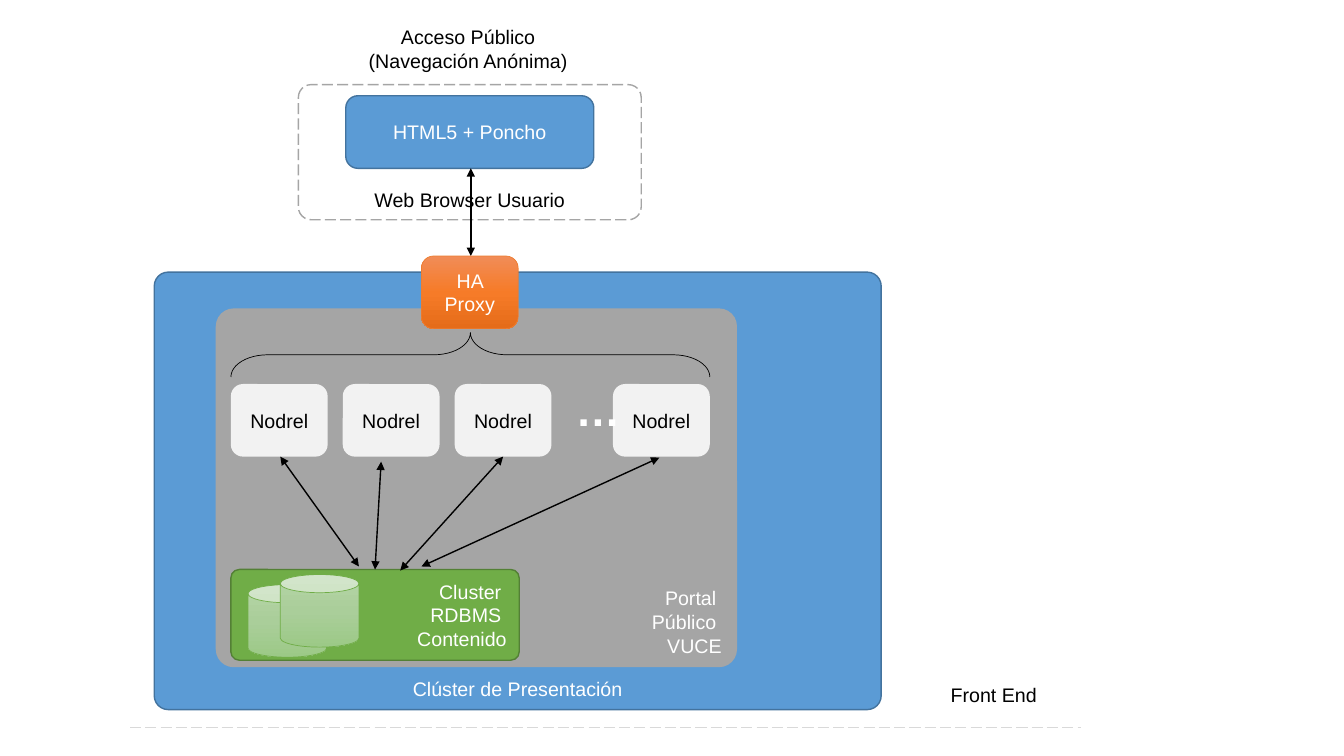
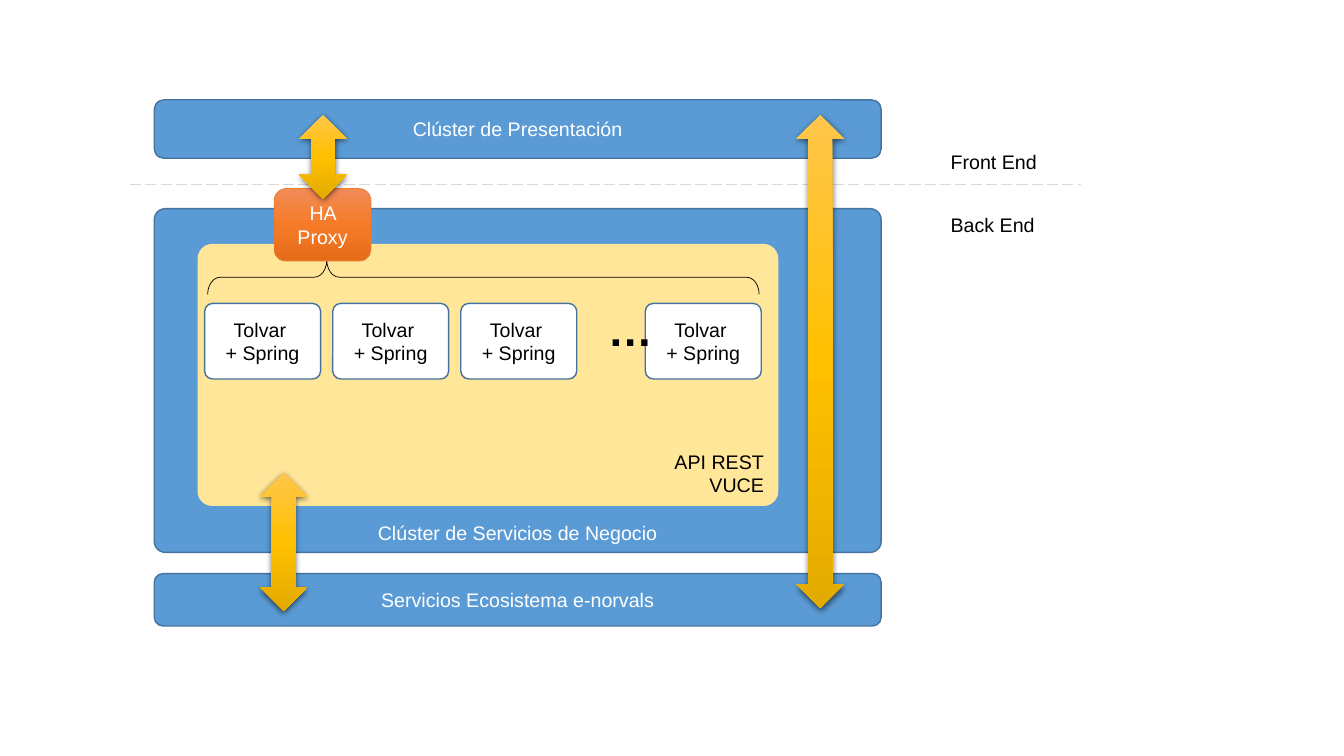
import copy
import pptx
import pptx.util
import pptx.dml.color
import pptx.enum.dml
import pptx.enum.shapes
import pptx.enum.text
import pptx.oxml
import pptx.oxml.ns

Inches = pptx.util.Inches
RGB = pptx.dml.color.RGBColor
SHAPE = pptx.enum.shapes.MSO_SHAPE
ALIGN = pptx.enum.text.PP_ALIGN
ANCHOR = pptx.enum.text.MSO_ANCHOR
qn = pptx.oxml.ns.qn

WHITE = RGB(0xFF, 0xFF, 0xFF)
BLACK = RGB(0, 0, 0)
BLUE = RGB(0x5B, 0x9B, 0xD5)
NAVY = RGB(0x43, 0x73, 0x9E)
GRAY = RGB(0xA5, 0xA5, 0xA5)
SILVER = RGB(0xD9, 0xD9, 0xD9)
PALE = RGB(0xF2, 0xF2, 0xF2)
GREEN = RGB(0x70, 0xAD, 0x47)
FOREST = RGB(0x53, 0x80, 0x35)
CREAM = RGB(0xFF, 0xE6, 0x99)
ORANGE = RGB(0xED, 0x7D, 0x31)
PROXY_FILL = [RGB(0xF1, 0x8C, 0x57), RGB(0xF6, 0x7B, 0x28), RGB(0xE5, 0x6C, 0x19)]
DISK_FILL = [RGB(0xB5, 0xD5, 0xA7), RGB(0xAA, 0xCE, 0x9A), RGB(0x9C, 0xC9, 0x87)]
ARROW_FILL = [RGB(0xFF, 0xC6, 0x4B), RGB(0xFF, 0xC0, 0x00), RGB(0xE3, 0xAB, 0x00)]

FONT = {"name": "Arial", "size": pptx.util.Pt(14), "bold": False}
ELLIPSIS = {"size": pptx.util.Pt(32), "bold": True}
SHADOW = (
    '<a:outerShdw xmlns:a="http://schemas.openxmlformats.org/drawingml/2006/main" '
    'blurRad="57150" dist="19050" dir="5400000" algn="ctr" rotWithShape="0">'
    '<a:srgbClr val="000000"><a:alpha val="63000"/></a:srgbClr></a:outerShdw>'
)


def write(sp, lines, color=WHITE, align=ALIGN.CENTER, anchor=ANCHOR.MIDDLE, font=None):
    tf = sp.text_frame
    for name, value in {"word_wrap": True, "vertical_anchor": anchor}.items():
        setattr(tf, name, value)
    for i, line in enumerate(lines):
        p = tf.add_paragraph() if i else tf.paragraphs[0]
        p.alignment = align
        r = p.add_run()
        r.text = line
        for name, value in {**FONT, **(font or {})}.items():
            setattr(r.font, name, value)
        r.font.color.rgb = color


def paint(sp, fill):
    if fill is None:
        sp.fill.background()
    elif isinstance(fill, list):
        sp.fill.gradient()
        sp.fill.gradient_angle = 270
        stops = sp._element.spPr.find(".//" + qn("a:gsLst"))
        stops.insert(1, copy.deepcopy(stops[0]))
        for stop, color, position in zip(sp.fill.gradient_stops, fill, (0, 0.5, 1)):
            stop.color.rgb = color
            stop.position = position
    else:
        sp.fill.solid()
        sp.fill.fore_color.rgb = fill


def stroke(sp, color, width=1, dashed=False):
    if color is None:
        sp.line.fill.background()
        return
    sp.line.color.rgb = color
    sp.line.width = pptx.util.Pt(width)
    if dashed:
        sp.line.dash_style = pptx.enum.dml.MSO_LINE.LONG_DASH


def shape(s, kind, box, fill=None, line=None, width=1, dashed=False, adj=()):
    sp = s.shapes.add_shape(kind, *map(Inches, box))
    sp.shadow.inherit = False
    paint(sp, fill)
    stroke(sp, line, width, dashed)
    for i, value in enumerate(adj):
        sp.adjustments[i] = value
    return sp


def panel(s, box, lines, fill=BLUE, line=NAVY, adj=(), dashed=False, **text):
    sp = shape(s, SHAPE.ROUNDED_RECTANGLE, box, fill, line, dashed=dashed, adj=adj)
    write(sp, lines, **text)


def label(s, box, lines, color=BLACK, align=ALIGN.LEFT, font=None):
    sp = s.shapes.add_textbox(*map(Inches, box))
    write(sp, lines, color, align, ANCHOR.TOP, font)


def connect(s, start, end, color=BLACK, arrows=True, dashed=False):
    sp = s.shapes.add_connector(
        pptx.enum.shapes.MSO_CONNECTOR.STRAIGHT, *map(Inches, start + end))
    stroke(sp, color, 1, dashed)
    spPr = sp._element.spPr
    ln = spPr.find(qn("a:ln"))
    if arrows:
        for tag in ("a:headEnd", "a:tailEnd"):
            ln.append(ln.makeelement(qn(tag), {"type": "triangle"}))
    spPr.append(spPr.makeelement(qn("a:effectLst")))


def brace(s, box, kind, rotation, adj):
    x, y, w, h = box
    upright = (x + (w - h) / 2, y + (h - w) / 2, h, w)
    sp = shape(s, kind, upright, line=BLACK, width=0.5, adj=adj)
    sp.rotation = rotation


def proxy(s, x, y):
    sp = shape(s, SHAPE.ROUNDED_RECTANGLE, (x, y, 0.96, 0.72), PROXY_FILL, ORANGE, 0.5)
    write(sp, ["HA Proxy"])


def flow_arrow(s, x, y, h):
    sp = shape(s, SHAPE.UP_DOWN_ARROW, (x, y, 0.47, h), ARROW_FILL)
    effects = sp._element.spPr.find(qn("a:effectLst"))
    effects.append(pptx.oxml.parse_xml(SHADOW))


def node_row(s, box, node_w, gap, lines, dots_color, **style):
    x, y, w, h = box
    last = x + w - node_w
    for left in [x + i * (node_w + gap) for i in range(3)] + [last]:
        panel(s, (left, y, node_w, h), lines, color=BLACK, **style)
    label(s, (last - 0.47, y - 0.07, 0.32, 0.64), ["…"], dots_color, ALIGN.CENTER, ELLIPSIS)


def divider(s, y, labels):
    connect(s, (1.29, y), (10.72, y), SILVER, arrows=False, dashed=True)
    for text, offset in labels.items():
        label(s, (9.33, y + offset, 1.39, 0.34), [text])


def database(s, box):
    x, y, w, h = box
    panel(s, box, ["Cluster ", "RDBMS ", "Contenido"], GREEN, FOREST, (0.093,),
          align=ALIGN.RIGHT)
    for dx, dy in ((0.17, 0.15), (0.49, 0.05)):
        shape(s, SHAPE.CAN, (x + dx, y + dy, 0.78, 0.72), DISK_FILL, GREEN, 0.5)


def browser(s, box):
    x, y, w, h = box
    label(s, (x - 0.28, y - 0.64, 3.98, 0.57),
          ["Acceso Público ", "(Navegación Anónima) "], align=ALIGN.CENTER)
    panel(s, box, ["Web Browser Usuario"], WHITE, GRAY, (0.094,), True,
          color=BLACK, anchor=ANCHOR.BOTTOM)
    panel(s, (x + 0.47, y + 0.11, 2.46, 0.72), ["HTML5 + Poncho"])
    connect(s, (x + 1.71, y + 0.83), (x + 1.71, y + 1.7))


def portal(s, box):
    x, y, w, h = box
    panel(s, box, ["Portal ", "Público ", "VUCE"], GRAY, None, (0.05,),
          align=ALIGN.RIGHT, anchor=ANCHOR.BOTTOM)
    database(s, (x + 0.15, y + 2.59, 2.86, 0.9))
    node_row(s, (x + 0.15, y + 0.75, 4.75, 0.72), 0.96, 0.15, ["Nodrel"], WHITE,
             fill=PALE, line=None)
    brace(s, (x + 0.15, y + 0.24, 4.75, 0.44), SHAPE.LEFT_BRACE, 90, (0.824, 0.5))
    proxy(s, x + 2.04, y - 0.52)
    links = (((0.64, 1.47), (1.42, 2.56)), ((1.64, 1.52), (1.58, 2.59)),
             ((2.85, 1.47), (1.83, 2.6)), ((4.4, 1.48), (2.04, 2.56)))
    for link in links:
        connect(s, *[(x + dx, y + dy) for dx, dy in link])


def api(s, box):
    x, y, w, h = box
    panel(s, box, ["API REST", "VUCE"], CREAM, None, (0.056,),
          color=BLACK, align=ALIGN.RIGHT, anchor=ANCHOR.BOTTOM)
    node_row(s, (x + 0.07, y + 0.59, 5.52, 0.75), 1.15, 0.12, ["Tolvar ", "+ Spring"],
             BLACK, fill=WHITE, adj=(0.106,))
    brace(s, (x + 0.1, y + 0.16, 5.47, 0.34), SHAPE.RIGHT_BRACE, 270, (0.367, 0.216))
    proxy(s, x + 0.76, y - 0.55)


def front_end(s, x, w):
    panel(s, (x, 2.7, w, 4.34), ["Clúster de Presentación"], adj=(0.032,),
          anchor=ANCHOR.BOTTOM)
    divider(s, 7.22, {"Front End": -0.49})
    browser(s, (2.96, 0.84, 3.4, 1.34))
    portal(s, (x + 0.61, 3.06, 5.17, 3.56))


def back_end(s, x, w):
    panel(s, (x, 0.99, w, 0.58), ["Clúster de Presentación"])
    panel(s, (x, 2.07, w, 3.41), ["Clúster de Servicios de Negocio"], adj=(0.032,),
          anchor=ANCHOR.BOTTOM)
    panel(s, (x, 5.69, w, 0.52), ["Servicios Ecosistema e-norvals"])
    divider(s, 1.83, {"Front End": -0.39, "Back End": 0.23})
    api(s, (x + 0.43, 2.42, 5.76, 2.6))
    for dx, y, h in ((1.05, 4.69, 1.37), (6.37, 1.14, 4.89), (1.44, 1.14, 0.83)):
        flow_arrow(s, x + dx, y, h)


prs = pptx.Presentation()
prs.slide_width = Inches(13.33)
prs.slide_height = Inches(7.5)
for build in (front_end, back_end):
    build(prs.slides.add_slide(prs.slide_layouts[6]), 1.53, 7.21)
prs.save("out.pptx")
